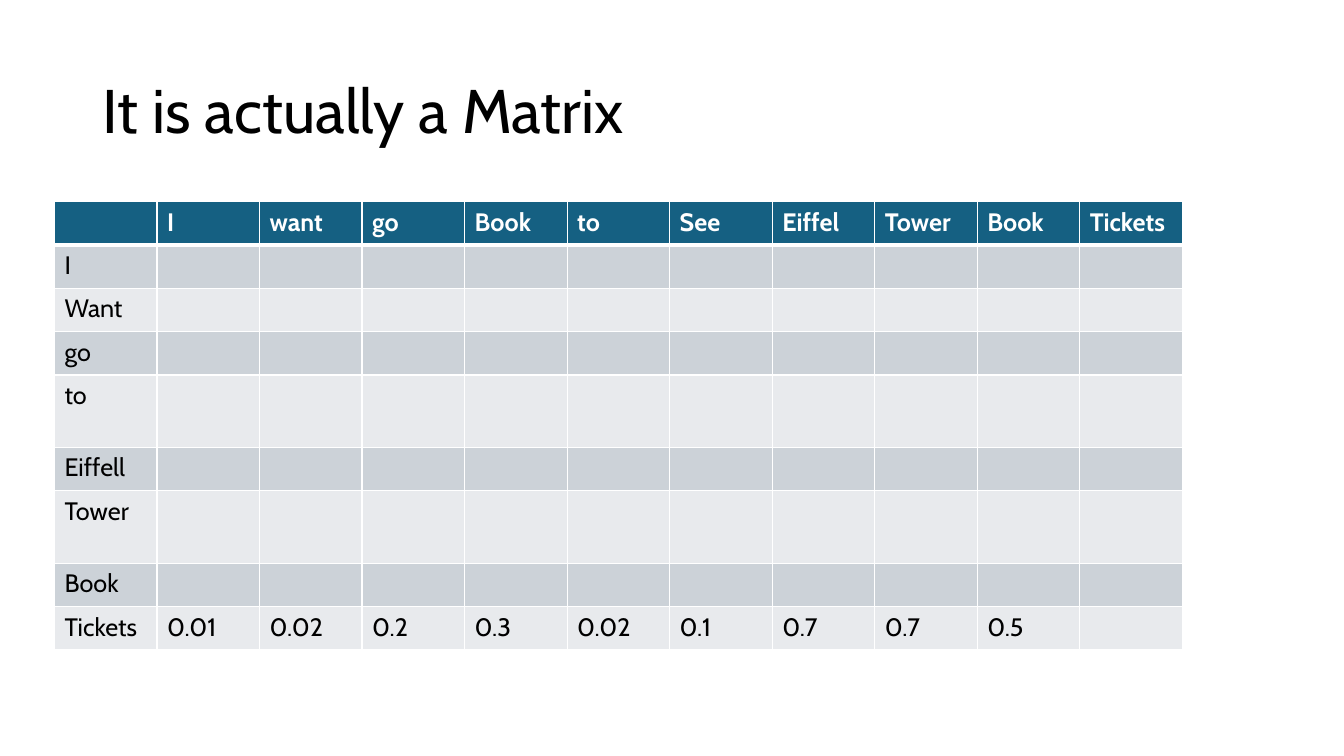
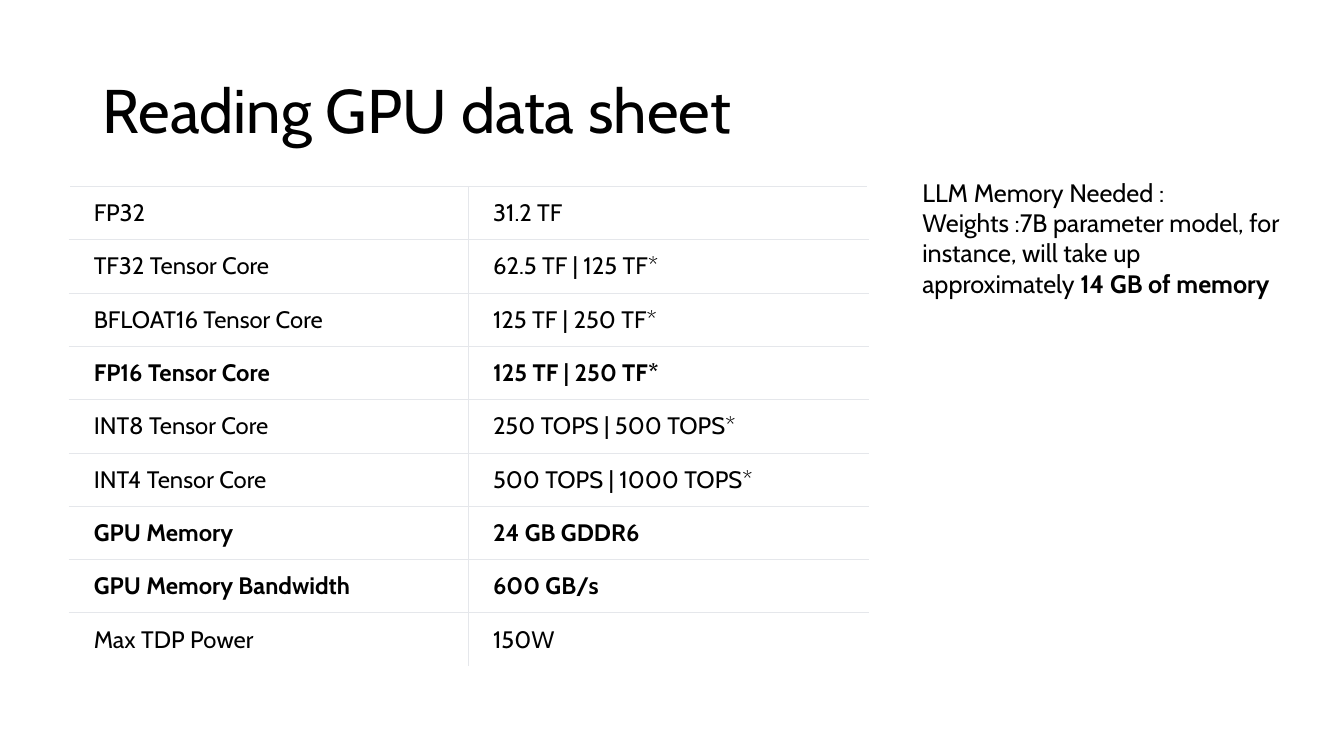
import pptx
import pptx.dml.color
import pptx.enum.text
import pptx.oxml.ns
import pptx.util
from lxml import etree

Inches = pptx.util.Inches
Pt = pptx.util.Pt
MIDDLE = pptx.enum.text.MSO_ANCHOR.MIDDLE
TOP = pptx.enum.text.MSO_ANCHOR.TOP

COLORS = {
    "text": "000000",
    "white": "FFFFFF",
    "header": "156082",
    "odd row": "CCD2D8",
    "even row": "E8EAED",
    "rule": "E5E7EB",
}
FONT = "Cabin"

MATRIX_TITLE = "It is actually a Matrix"
MATRIX_HEADER = ["", "I", "want", "go", "Book", "to", "See", "Eiffel", "Tower", "Book", "Tickets"]
MATRIX_ROWS = [
    ["I"],
    ["Want"],
    ["go"],
    ["to"],
    ["Eiffell"],
    ["Tower"],
    ["Book"],
    ["Tickets", "0.01", "0.02", "0.2", "0.3", "0.02", "0.1", "0.7", "0.7", "0.5"],
]
TALL_ROWS = {"to", "Tower"}

GPU_TITLE = "Reading GPU data sheet"
GPU_ROWS = [
    ("FP32", "31.2 TF"),
    ("TF32 Tensor Core", "62.5 TF | 125 TF*"),
    ("BFLOAT16 Tensor Core", "125 TF | 250 TF*"),
    ("FP16 Tensor Core", "125 TF | 250 TF*"),
    ("INT8 Tensor Core", "250 TOPS | 500 TOPS*"),
    ("INT4 Tensor Core", "500 TOPS | 1000 TOPS*"),
    ("GPU Memory", "24 GB GDDR6"),
    ("GPU Memory Bandwidth", "600 GB/s"),
    ("Max TDP Power", "150W"),
]
KEY_SPECS = {"FP16 Tensor Core", "GPU Memory", "GPU Memory Bandwidth"}
# Each paragraph is a list of (text, bold); a no-break space ties the figure to its sentence.
MEMORY_NOTE = [
    [("LLM Memory Needed :", False)],
    [
        ("Weights :7B parameter model, for instance, will take up approximately ", False),
        ("14 GB of memory", True),
    ],
]


def rgb(name):
    return pptx.dml.color.RGBColor.from_string(COLORS[name])


def add_run(paragraph, text, size, color="text", bold=False):
    run = paragraph.add_run()
    run.text = text
    for attribute, value in {"name": FONT, "size": Pt(size), "bold": bold}.items():
        setattr(run.font, attribute, value)
    run.font.color.rgb = rgb(color)


def add_text(slide, box, paragraphs, size, anchor=TOP, line_spacing=None):
    shape = slide.shapes.add_textbox(*map(Inches, box))
    frame = shape.text_frame
    frame.word_wrap = True
    frame.vertical_anchor = anchor
    for index, runs in enumerate(paragraphs):
        paragraph = frame.add_paragraph() if index else frame.paragraphs[0]
        paragraph.line_spacing = line_spacing
        for text, bold in runs:
            add_run(paragraph, text, size, bold=bold)


def add_titled_slide(presentation, title):
    slide = presentation.slides.add_slide(presentation.slide_layouts[6])
    add_text(slide, (0.92, 0.4, 11.5, 1.45), [[(title, False)]], 44, MIDDLE, 0.9)
    return slide


def add_plain_table(slide, left, top, widths, heights):
    table = slide.shapes.add_table(
        len(heights), len(widths), Inches(left), Inches(top),
        Inches(sum(widths)), Inches(sum(heights)),
    ).table
    table.first_row = table.horz_banding = False
    for column, width in zip(table.columns, widths):
        column.width = Inches(width)
    for row, height in zip(table.rows, heights):
        row.height = Inches(height)
    return table


def style_cell(cell, fill, borders):
    """Fill the cell and draw borders, a dict of side (L, R, T, B) to (colour, points)."""
    properties = cell._tc.get_or_add_tcPr()
    qn = pptx.oxml.ns.qn
    for side in "LRTB":
        if side in borders:
            color, points = borders[side]
            line = etree.SubElement(properties, qn(f"a:ln{side}"), w=str(Pt(points)))
            solid = etree.SubElement(line, qn("a:solidFill"))
            etree.SubElement(solid, qn("a:srgbClr"), val=COLORS[color])
    cell.fill.solid()
    cell.fill.fore_color.rgb = rgb(fill)


def build_matrix_slide(presentation):
    slide = add_titled_slide(presentation, MATRIX_TITLE)
    rows = [MATRIX_HEADER] + MATRIX_ROWS
    columns = len(MATRIX_HEADER)
    heights = [0.72 if row[0] in TALL_ROWS else 0.43 for row in rows]
    table = add_plain_table(slide, 0.54, 2, [11.19 / columns] * columns, heights)
    for row_index, row in enumerate(rows):
        is_header = row_index == 0
        fill = "header" if is_header else ("even row", "odd row")[row_index % 2]
        borders = {side: ("white", 1) for side in "LRTB"}
        if is_header:
            borders["B"] = ("white", 3)
        elif row_index == 1:
            borders["T"] = ("white", 3)
        for column_index in range(columns):
            cell = table.cell(row_index, column_index)
            style_cell(cell, fill, borders)
            if column_index < len(row) and row[column_index]:
                color = "white" if is_header else "text"
                add_run(cell.text_frame.paragraphs[0], row[column_index], 18, color, is_header)


def build_gpu_slide(presentation):
    slide = add_titled_slide(presentation, GPU_TITLE)
    table = add_plain_table(slide, 0.69, 1.85, [3.96] * 2, [4.76 / len(GPU_ROWS)] * len(GPU_ROWS))
    cell_format = {
        "vertical_anchor": MIDDLE,
        "margin_left": Inches(0.24),
        "margin_right": Inches(0.24),
        "margin_top": Inches(0.12),
        "margin_bottom": Inches(0.12),
    }
    for row_index, row in enumerate(GPU_ROWS):
        is_last = row_index == len(GPU_ROWS) - 1
        for column_index, text in enumerate(row):
            cell = table.cell(row_index, column_index)
            for attribute, value in cell_format.items():
                setattr(cell, attribute, value)
            sides = "RL"[column_index] + ("T" if is_last else "TB")
            style_cell(cell, "white", {side: ("rule", 0.75) for side in sides})
            add_run(cell.text_frame.paragraphs[0], text, 17, bold=row[0] in KEY_SPECS)
    add_text(slide, (9.05, 1.71, 3.89, 1.92), MEMORY_NOTE, 18)


def main():
    presentation = pptx.Presentation()
    presentation.slide_width = Inches(13.33)
    presentation.slide_height = Inches(7.5)
    build_matrix_slide(presentation)
    build_gpu_slide(presentation)
    presentation.save("out.pptx")


if __name__ == "__main__":
    main()
